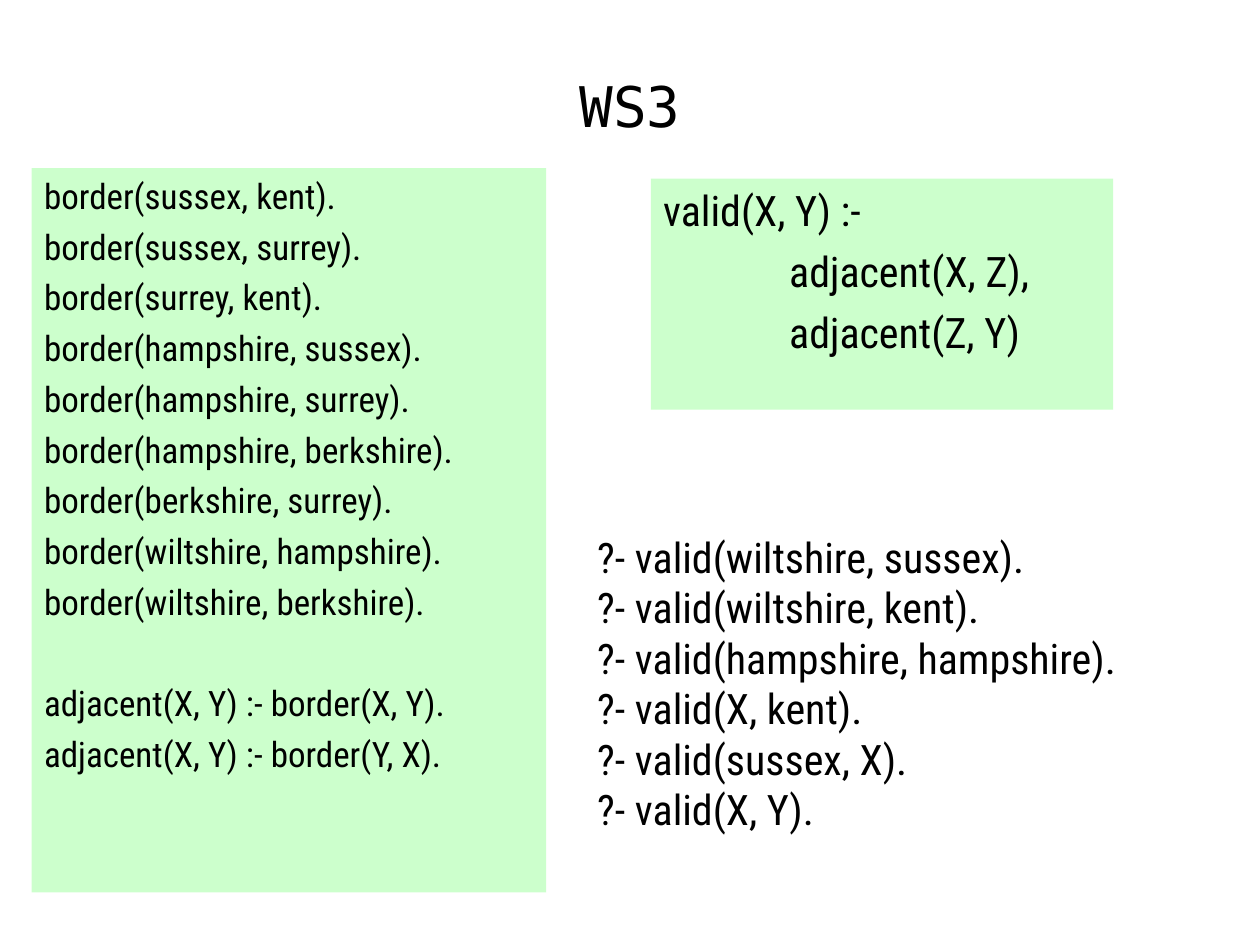
"""Build the WS3 slide of Prolog facts, rules and queries."""
from dataclasses import dataclass

from lxml.etree import SubElement
from pptx import Presentation
from pptx.dml.color import RGBColor
from pptx.enum.shapes import MSO_SHAPE
from pptx.enum.text import MSO_ANCHOR, PP_ALIGN
from pptx.oxml.ns import qn
from pptx.slide import Slide
from pptx.util import Cm, Pt

BODY_FONT = "Roboto Condensed"
PANEL_GREEN = "CCFFCC"
LINE_FACTOR = 1.2

BORDERS = [
    ("sussex", "kent"),
    ("sussex", "surrey"),
    ("surrey", "kent"),
    ("hampshire", "sussex"),
    ("hampshire", "surrey"),
    ("hampshire", "berkshire"),
    ("berkshire", "surrey"),
    ("wiltshire", "hampshire"),
    ("wiltshire", "berkshire"),
]
FACTS = [f"border({first}, {second})." for first, second in BORDERS]
ADJACENT_RULES = [
    "adjacent(X, Y) :- border(X, Y).",
    "adjacent(X, Y) :- border(Y, X).",
]
VALID_RULE = ["valid(X, Y) :-", "\tadjacent(X, Z),", "\tadjacent(Z, Y)"]
QUERIES = [
    "?- valid(wiltshire, sussex).",
    "?- valid(wiltshire, kent).",
    "?- valid(hampshire, hampshire).",
    "?- valid(X, kent).",
    "?- valid(sussex, X).",
    "?- valid(X, Y).",
]


@dataclass
class TextBlock:
    """Groups of lines in one box, with a line's height between groups."""

    groups: list[list[str]]
    left: float
    top: float
    width: float
    height: float
    size: float
    spacing: float = 0
    fill: str | None = None
    font: str = BODY_FONT
    align: PP_ALIGN = PP_ALIGN.LEFT
    anchor: MSO_ANCHOR = MSO_ANCHOR.TOP


def color(value: str) -> RGBColor:
    """Turn a hex string into a colour."""
    return RGBColor.from_string(value)


def add_tab_stop(para, position: Cm) -> None:
    """Give a paragraph one left tab stop."""
    tabs = SubElement(para._p.get_or_add_pPr(), qn("a:tabLst"))
    SubElement(tabs, qn("a:tab"), pos=str(int(position)), algn="l")


def draw_block(page: Slide, block: TextBlock) -> None:
    """Draw a text block, on a filled rectangle if it has a fill."""
    place = [Cm(n) for n in (block.left, block.top, block.width, block.height)]
    if block.fill:
        box = page.shapes.add_shape(MSO_SHAPE.RECTANGLE, *place)
        box.shadow.inherit = False
        box.fill.solid()
        box.fill.fore_color.rgb = color(block.fill)
        box.line.fill.background()
    else:
        box = page.shapes.add_textbox(*place)
    frame = box.text_frame
    frame.word_wrap = True
    frame.vertical_anchor = block.anchor
    group_gap = block.size * LINE_FACTOR + 2 * block.spacing
    for group_index, group in enumerate(block.groups):
        for line_index, line in enumerate(group):
            first = group_index == line_index == 0
            para = frame.paragraphs[0] if first else frame.add_paragraph()
            para.text = line
            para.alignment = block.align
            if not first:
                para.space_before = Pt(block.spacing if line_index else group_gap)
            if line.startswith("\t"):
                add_tab_stop(para, Cm(2.54))
            para.font.name = block.font
            para.font.size = Pt(block.size)
            para.font.color.rgb = color("000000")


def main() -> None:
    """Build and save the deck."""
    deck = Presentation()
    deck.slide_width, deck.slide_height = Cm(25.4), Cm(19.05)
    page = deck.slides.add_slide(deck.slide_layouts[6])
    blocks = [
        TextBlock([["WS3"]], 1.9, 0.85, 21.6, 2.54, 32, font="DejaVu Sans Mono",
                  align=PP_ALIGN.CENTER, anchor=MSO_ANCHOR.MIDDLE),
        TextBlock([FACTS, ADJACENT_RULES], 0.64, 3.39, 10.37, 14.6, 20, 5, PANEL_GREEN),
        TextBlock([QUERIES], 11.79, 10.59, 12.98, 6.35, 24),
        TextBlock([VALID_RULE], 13.12, 3.6, 9.32, 4.66, 24, 6, PANEL_GREEN),
    ]
    for block in blocks:
        draw_block(page, block)
    deck.save("out.pptx")


if __name__ == "__main__":
    main()
